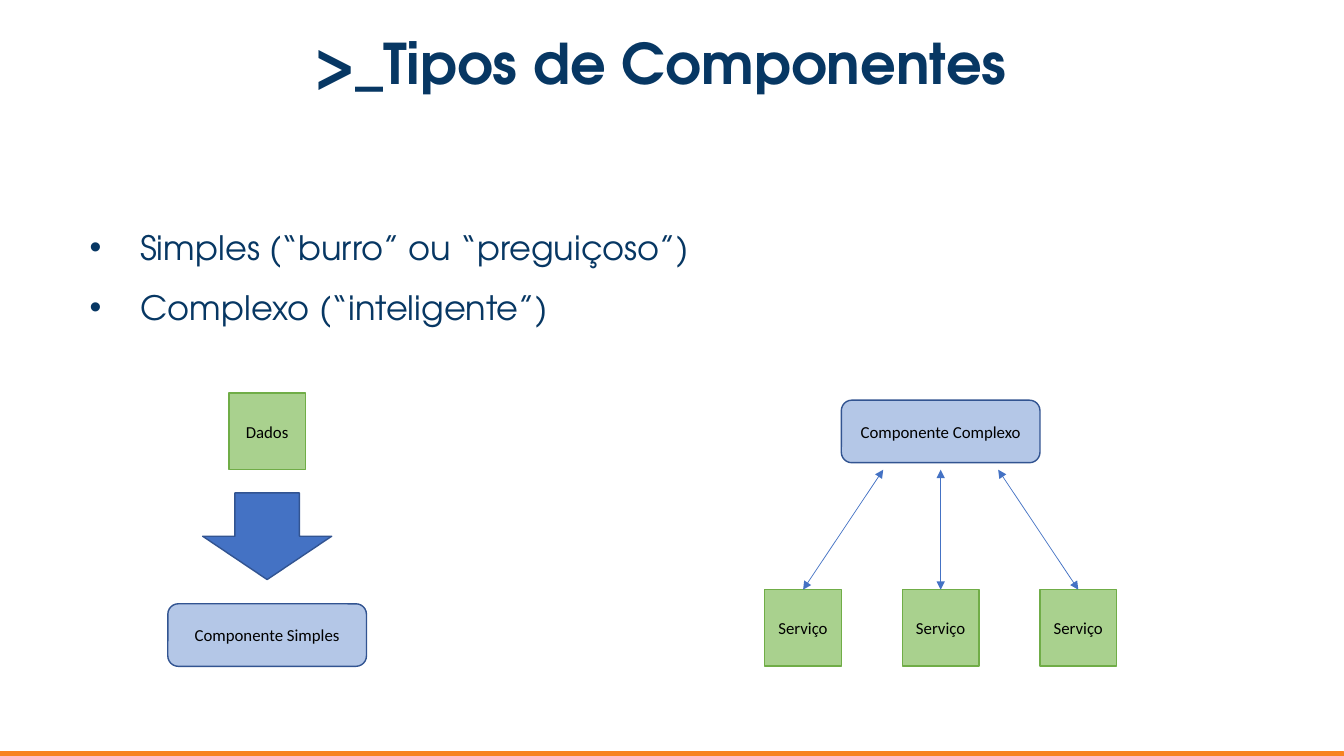
import pptx
import pptx.util
import pptx.dml.color
import pptx.enum.shapes
import pptx.enum.text
import pptx.oxml
import pptx.oxml.ns
from dataclasses import dataclass
from lxml import etree

TITLE = ">_Tipos de Componentes"
BULLETS = ["Simples (“burro” ou “preguiçoso”)", "Complexo (“inteligente”)"]
DATA = "Dados"
SIMPLE = "Componente Simples"
COMPLEX = "Componente Complexo"
SERVICES = ["Serviço", "Serviço", "Serviço"]

SLIDE_WIDTH, SLIDE_HEIGHT = 13.33, 7.5
SIMPLE_CENTER, COMPLEX_CENTER = 2.65, 9.33
SQUARE = 0.76
COMPONENT_WIDTH, COMPONENT_HEIGHT = 1.97, 0.62
BASE = 6.61
BULLET_TOP, BULLET_PITCH = 1.92, 0.6
SERVICE_PITCH, LINK_PITCH, LINK_TOP = 1.365, 0.57, 4.66


@dataclass(frozen=True)
class Theme:
    heading_font: str = "TeX Gyre Adventor"
    label_font: str = "Calibri"
    title_size: int = 40
    bullet_size: int = 24
    label_size: int = 12
    navy: str = "073763"
    orange: str = "F78321"
    black: str = "000000"
    blue: str = "4472C4"
    blue_edge: str = "325491"
    pale_blue: str = "B4C7E7"
    green: str = "A9D18E"
    green_edge: str = "70AD47"


THEME = Theme()
Inches = pptx.util.Inches
SHAPES = pptx.enum.shapes.MSO_SHAPE
ALIGN = pptx.enum.text.PP_ALIGN
ANCHOR = pptx.enum.text.MSO_ANCHOR


def rgb(color):
    return pptx.dml.color.RGBColor.from_string(color)


def write(frame, text, font, size, color, align, bold=False, margin=None):
    frame.word_wrap = True
    frame.auto_size = pptx.enum.text.MSO_AUTO_SIZE.NONE
    if margin is not None:
        frame.margin_left = frame.margin_right = Inches(margin)
        frame.margin_top = frame.margin_bottom = Inches(margin)
    frame.text = text
    paragraph = frame.paragraphs[0]
    paragraph.alignment = align
    run = paragraph.runs[0]
    run.font.name = font
    run.font.size = pptx.util.Pt(size)
    run.font.bold = bold
    run.font.color.rgb = rgb(color)
    return paragraph


def add_box(shapes, kind, center, top, width, height, fill, edge, label=None, line=1):
    shape = shapes.add_shape(
        kind, Inches(center - width / 2), Inches(top), Inches(width), Inches(height))
    shape.shadow.inherit = False
    shape.fill.solid()
    shape.fill.fore_color.rgb = rgb(fill)
    shape.line.color.rgb = rgb(edge)
    shape.line.width = pptx.util.Pt(line)
    if label:
        shape.text_frame.vertical_anchor = ANCHOR.MIDDLE
        write(shape.text_frame, label, THEME.label_font, THEME.label_size,
              THEME.black, ALIGN.CENTER)
    return shape


def add_square(shapes, center, top, label):
    return add_box(shapes, SHAPES.RECTANGLE, center, top, SQUARE, SQUARE,
                   THEME.green, THEME.green_edge, label)


def add_component(shapes, center, top, label):
    return add_box(shapes, SHAPES.ROUNDED_RECTANGLE, center, top, COMPONENT_WIDTH,
                   COMPONENT_HEIGHT, THEME.pale_blue, THEME.blue_edge, label)


def add_link(shapes, start, center, service):
    connector = shapes.add_connector(
        pptx.enum.shapes.MSO_CONNECTOR.STRAIGHT,
        Inches(start), Inches(LINK_TOP), Inches(center), service.top)
    connector.end_connect(service, 0)
    connector.line.color.rgb = rgb(THEME.blue)
    connector.line.width = pptx.util.Pt(0.5)
    line = connector.line._get_or_add_ln()
    for end in ("a:headEnd", "a:tailEnd"):
        etree.SubElement(line, pptx.oxml.ns.qn(end), type="triangle")
    etree.SubElement(connector._element.spPr, pptx.oxml.ns.qn("a:effectLst"))


def add_title(slide):
    title = slide.shapes.title
    title.left, title.top = Inches(0.34), Inches(0.33)
    title.width, title.height = Inches(12.42), Inches(0.65)
    title.text_frame.vertical_anchor = ANCHOR.MIDDLE
    paragraph = write(title.text_frame, TITLE, THEME.heading_font, THEME.title_size,
                      THEME.navy, ALIGN.CENTER, bold=True, margin=0.1)
    paragraph.line_spacing = 0.9


def add_bullet(slide, row, text):
    box = slide.shapes.add_textbox(
        Inches(0.52), Inches(BULLET_TOP + row * BULLET_PITCH), Inches(7.7), Inches(0.77))
    paragraph = write(box.text_frame, text, THEME.heading_font, THEME.bullet_size,
                      THEME.navy, ALIGN.LEFT, margin=0.13)
    paragraph.line_spacing = 1.5
    properties = paragraph._p.get_or_add_pPr()
    properties.set("marL", str(Inches(0.74)))
    properties.set("indent", str(Inches(-0.5)))
    color = etree.SubElement(properties, pptx.oxml.ns.qn("a:buClr"))
    etree.SubElement(color, pptx.oxml.ns.qn("a:srgbClr"), val=THEME.navy)
    etree.SubElement(properties, pptx.oxml.ns.qn("a:buFont"), typeface="Arial")
    etree.SubElement(properties, pptx.oxml.ns.qn("a:buChar"), char="•")


def add_simple_diagram(slide):
    shapes = slide.shapes.add_group_shape().shapes
    add_component(shapes, SIMPLE_CENTER, BASE - COMPONENT_HEIGHT, SIMPLE)
    add_box(shapes, SHAPES.DOWN_ARROW, SIMPLE_CENTER, 4.89, 1.28, 0.86,
            THEME.blue, THEME.blue_edge)
    add_square(shapes, SIMPLE_CENTER, 3.9, DATA)


def add_complex_diagram(slide):
    shapes = slide.shapes.add_group_shape().shapes
    add_component(shapes, COMPLEX_CENTER, 3.97, COMPLEX)
    for column, label in enumerate(SERVICES):
        offset = column - (len(SERVICES) - 1) / 2
        center = COMPLEX_CENTER + offset * SERVICE_PITCH
        service = add_square(shapes, center, BASE - SQUARE, label)
        add_link(shapes, COMPLEX_CENTER + offset * LINK_PITCH, center, service)


def main():
    presentation = pptx.Presentation()
    presentation.slide_width = Inches(SLIDE_WIDTH)
    presentation.slide_height = Inches(SLIDE_HEIGHT)
    slide = presentation.slides.add_slide(presentation.slide_layouts[5])
    add_box(slide.shapes, SHAPES.RECTANGLE, SLIDE_WIDTH / 2, 7.46, SLIDE_WIDTH, 0.05,
            THEME.orange, THEME.orange, line=0.75)
    for row, text in enumerate(BULLETS):
        add_bullet(slide, row, text)
    add_title(slide)
    add_simple_diagram(slide)
    add_complex_diagram(slide)
    presentation.save("out.pptx")


if __name__ == "__main__":
    main()
